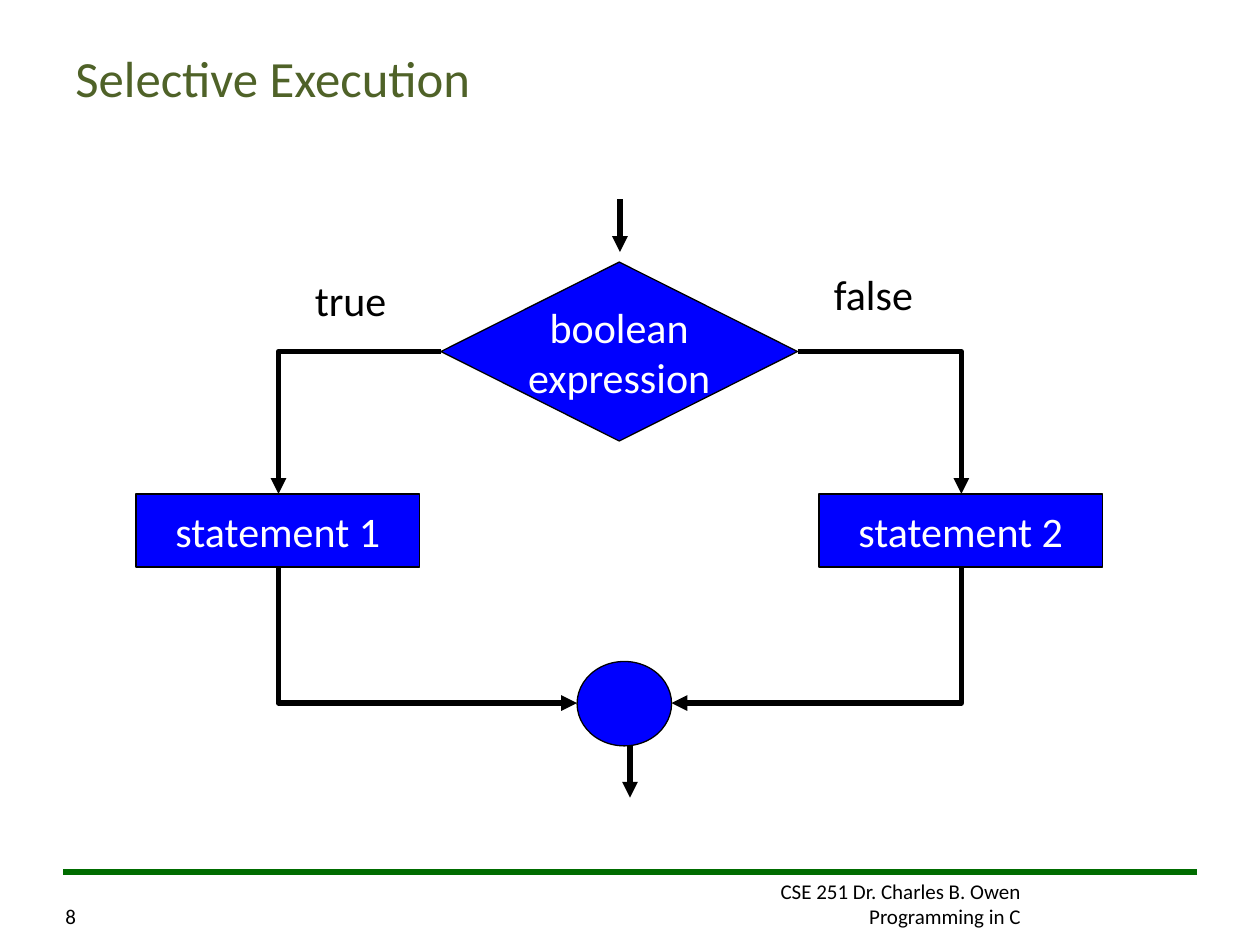
from dataclasses import dataclass

from pptx import Presentation
from pptx.dml.color import RGBColor
from pptx.enum.shapes import MSO_CONNECTOR, MSO_SHAPE
from pptx.enum.text import MSO_ANCHOR, PP_ALIGN
from pptx.oxml.ns import qn
from pptx.util import Inches, Pt
from lxml.etree import SubElement

HUES = {"ink": "000000", "blue": "0000FF", "white": "FFFFFF",
        "rule": "006C00", "title": "4F6228"}
FONT = "Calibri"
MID = 4.92
LEFT, RIGHT = 2.21, 7.63
TURN, JOIN = 2.79, 5.58


@dataclass
class Label:
    text: str
    box: tuple
    size: float = 24
    hue: str = "ink"
    align: PP_ALIGN = PP_ALIGN.LEFT
    anchor: MSO_ANCHOR = MSO_ANCHOR.TOP
    wrap: bool = False


@dataclass
class Node:
    kind: MSO_SHAPE
    box: tuple
    text: str = ""


@dataclass
class Line:
    start: tuple
    end: tuple
    hue: str = "ink"
    arrow: bool = True


@dataclass
class Bend:
    start: tuple
    end: tuple
    turn: int = 0
    flip: str = ""


LABELS = [
    Label("CSE 251 Dr. Charles B. Owen\nProgramming in C", (4.83, 6.92, 3.37, 0.5),
          12, align=PP_ALIGN.RIGHT, wrap=True),
    Label("8", (0.42, 7.12, 0.4, 0.3), 12, wrap=True),
    Label("Selective Execution", (0.5, 0.3, 9, 0.62), 29, "title",
          anchor=MSO_ANCHOR.MIDDLE, wrap=True),
    Label("true", (2.4, 2.13, 0.77, 0.5)),
    Label("false", (6.52, 2.08, 0.83, 0.5)),
]
NODES = [
    Node(MSO_SHAPE.DIAMOND, (3.5, 2.08, 2.83, 1.42), "boolean\nexpression"),
    Node(MSO_SHAPE.RECTANGLE, (1.08, 3.92, 2.25, 0.58), "statement 1"),
    Node(MSO_SHAPE.RECTANGLE, (6.5, 3.92, 2.25, 0.58), "statement 2"),
    Node(MSO_SHAPE.OVAL, (4.58, 5.25, 0.75, 0.67)),
]
LINES = [
    Line((9.5, 6.92), (0.5, 6.92), "rule", False),
    Line((5, 5.92), (5, 6.33)),
    Line((MID, 1.58), (MID, 2)),
]
BENDS = [
    Bend((3.5, TURN), (LEFT, 3.92), 180, "flipV"),
    Bend((6.33, TURN), (RIGHT, 3.92)),
    Bend((LEFT, 4.5), (4.58, JOIN), 270, "flipH"),
    Bend((RIGHT, 4.5), (5.33, JOIN), 90),
]


def tint(hue: str) -> RGBColor:
    return RGBColor.from_string(HUES[hue])


def apply(thing, form: dict) -> None:
    for name, value in form.items():
        setattr(thing, name, value)


def write(frame, label: Label) -> None:
    apply(frame, {"word_wrap": label.wrap, "vertical_anchor": label.anchor,
                  "margin_left": Inches(0.1), "margin_right": Inches(0.1),
                  "margin_top": Inches(0.05), "margin_bottom": Inches(0.05)})
    frame.text = label.text
    for para in frame.paragraphs:
        para.alignment = label.align
        apply(para.font, {"name": FONT, "size": Pt(label.size)})
        para.font.color.rgb = tint(label.hue)


def draw_label(slide, label: Label) -> None:
    box = slide.shapes.add_textbox(*map(Inches, label.box))
    write(box.text_frame, label)


def draw_node(slide, node: Node) -> None:
    shape = slide.shapes.add_shape(node.kind, *map(Inches, node.box))
    shape.shadow.inherit = False
    shape.fill.solid()
    shape.fill.fore_color.rgb = tint("blue")
    shape.line.color.rgb = tint("ink")
    shape.line.width = Pt(0.75)
    if node.text:
        write(shape.text_frame, Label(node.text, node.box, hue="white",
              align=PP_ALIGN.CENTER, anchor=MSO_ANCHOR.MIDDLE))


def style(link, hue: str, arrow: bool) -> None:
    link.line.color.rgb = tint(hue)
    link.line.width = Pt(3)
    if arrow:
        SubElement(link.line._get_or_add_ln(), qn("a:tailEnd"), type="triangle")
    SubElement(link._element.spPr, qn("a:effectLst"))


def draw_line(slide, line: Line) -> None:
    link = slide.shapes.add_connector(
        MSO_CONNECTOR.STRAIGHT, *map(Inches, line.start + line.end))
    style(link, line.hue, line.arrow)


def draw_bend(slide, bend: Bend) -> None:
    (x1, y1), (x2, y2) = bend.start, bend.end
    wide, high = abs(x2 - x1), abs(y2 - y1)
    if bend.turn % 180:
        wide, high = high, wide
    left, top = (x1 + x2 - wide) / 2, (y1 + y2 - high) / 2
    link = slide.shapes.add_connector(
        MSO_CONNECTOR.ELBOW, *map(Inches, (left, top, left + wide, top + high)))
    props = link._element.spPr
    props.find(qn("a:prstGeom")).set("prst", "bentConnector2")
    frame = props.find(qn("a:xfrm"))
    frame.set("rot", str(bend.turn * 60000))
    if bend.flip:
        frame.set(bend.flip, "1")
    style(link, "ink", True)


def main() -> None:
    deck = Presentation()
    apply(deck, {"slide_width": Inches(10), "slide_height": Inches(7.5)})
    slide = deck.slides.add_slide(deck.slide_layouts[6])
    for draw, parts in ((draw_node, NODES), (draw_bend, BENDS),
                        (draw_line, LINES), (draw_label, LABELS)):
        for part in parts:
            draw(slide, part)
    deck.save("out.pptx")


if __name__ == "__main__":
    main()
